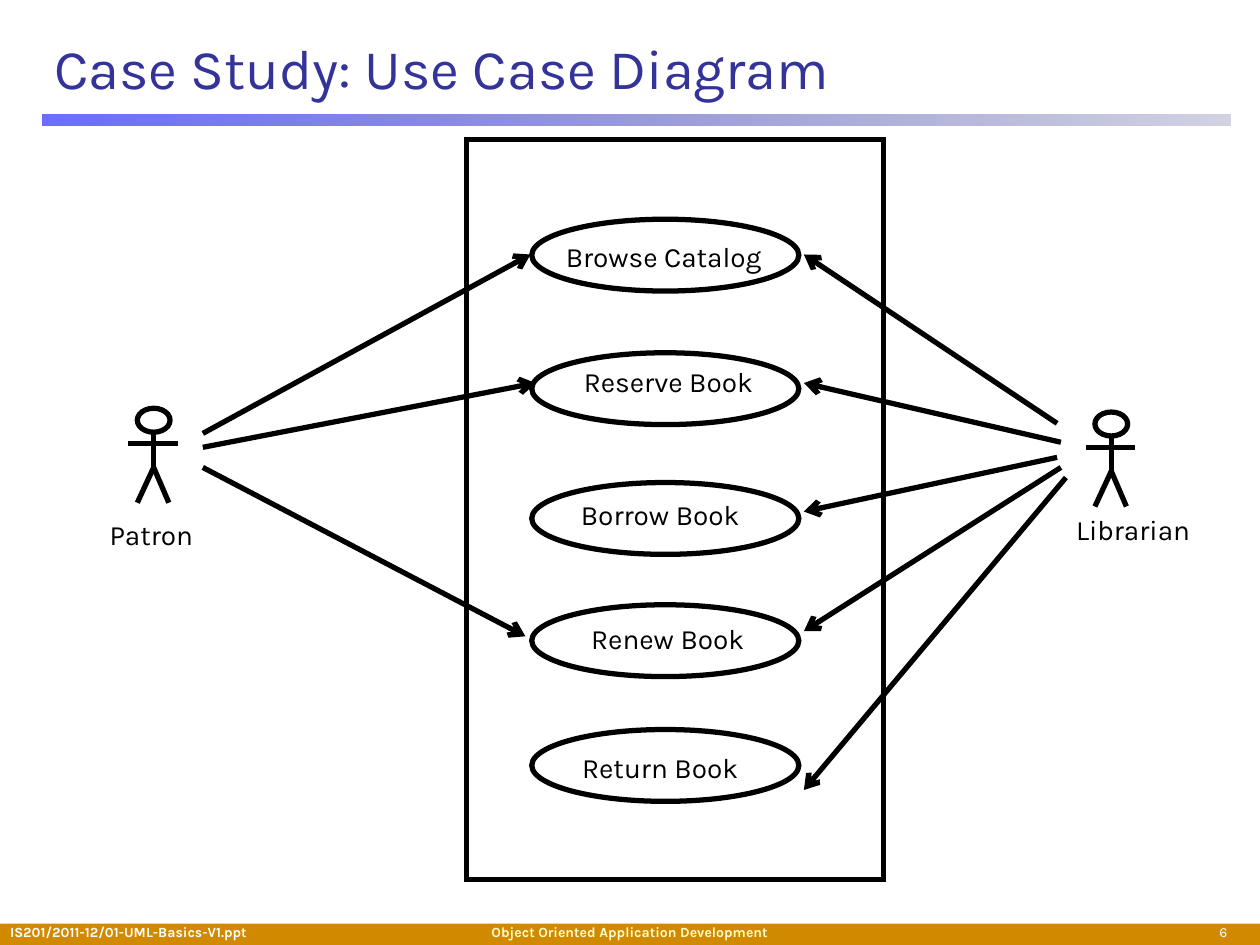
"""Build a library use case diagram slide with two actors and five use cases."""
from lxml import etree
from pptx import Presentation
from pptx.dml.color import RGBColor
from pptx.enum.shapes import MSO_CONNECTOR, MSO_SHAPE
from pptx.enum.text import MSO_ANCHOR, PP_ALIGN
from pptx.oxml.ns import qn
from pptx.util import Inches, Pt

RECT, OVAL = MSO_SHAPE.RECTANGLE, MSO_SHAPE.OVAL
STRAIGHT = MSO_CONNECTOR.STRAIGHT
MIDDLE = MSO_ANCHOR.MIDDLE
LEFT, CENTER, RIGHT = PP_ALIGN.LEFT, PP_ALIGN.CENTER, PP_ALIGN.RIGHT
BLACK = RGBColor(0x00, 0x00, 0x00)
WHITE = RGBColor(0xFF, 0xFF, 0xFF)
CREAM = RGBColor(0xFF, 0xFF, 0xCC)
ORANGE = RGBColor(0xD1, 0x8A, 0x00)
INDIGO = RGBColor(0x33, 0x33, 0x99)
BAR_START = RGBColor(0x46, 0x4A, 0xFC)
BAR_END = RGBColor(0x20, 0x22, 0x75)
FONT = "Karla"

prs = Presentation()
prs.slide_width, prs.slide_height = Inches(10), Inches(7.5)
s = prs.slides.add_slide(prs.slide_layouts[5])


def add_outlined(shapes, kind, x, y, w, h):
    sp = shapes.add_shape(kind, Inches(x), Inches(y), Inches(w), Inches(h))
    sp.shadow.inherit = False
    sp.fill.solid()
    sp.fill.fore_color.rgb = WHITE
    sp.line.color.rgb = BLACK
    sp.line.width = Pt(3)
    etree.SubElement(sp.line._get_or_add_ln(), qn("a:miter")).set("lim", "800000")


def add_line(shapes, x1, y1, x2, y2):
    cx = shapes.add_connector(STRAIGHT, Inches(x1), Inches(y1), Inches(x2), Inches(y2))
    cx.line.color.rgb = BLACK
    cx.line.width = Pt(3)
    etree.SubElement(cx._element.spPr, qn("a:effectLst"))
    return cx


footer = s.shapes.add_shape(RECT, 0, Inches(7.33), Inches(10), Inches(0.17))
footer.shadow.inherit = False
footer.fill.solid()
footer.fill.fore_color.rgb = ORANGE
footer.line.fill.background()

bar = s.shapes.add_shape(RECT, Inches(0.34), Inches(0.91), Inches(9.43), Inches(0.09))
bar.shadow.inherit = False
bar.line.fill.background()
bar.fill.gradient()
bar.fill.gradient_angle = 0
for stop, color, position in zip(bar.fill.gradient_stops, (BAR_START, BAR_END), (0, 1)):
    stop.color.rgb = color
    stop.position = position
for clr, alpha in zip(bar._element.spPr.iter(qn("a:srgbClr")), (80000, 20000)):
    etree.SubElement(clr, qn("a:alpha")).set("val", str(alpha))

title = s.shapes.title
title.left, title.top = Inches(0.33), Inches(0.16)
title.width, title.height = Inches(9.42), Inches(0.75)
tf = title.text_frame
tf.vertical_anchor = MIDDLE
p = tf.paragraphs[0]
p.alignment = LEFT
r = p.add_run()
r.text = "Case Study: Use Case Diagram"
r.font.name, r.font.size = FONT, Pt(32)
r.font.color.rgb = INDIGO

add_outlined(s.shapes, RECT, 3.7, 1.11, 3.31, 5.87)
for y in (1.74, 2.8, 3.83, 4.8, 5.79):
    add_outlined(s.shapes, OVAL, 4.22, y, 2.12, 0.57)

arrows = [
    (1.61, 3.44, 4.21, 2.02),
    (1.61, 3.55, 4.25, 3.04),
    (1.61, 3.71, 4.17, 5.05),
    (8.39, 3.36, 6.38, 2.02),
    (8.42, 3.51, 6.38, 3.04),
    (8.39, 3.63, 6.38, 4.06),
    (8.42, 3.71, 6.38, 5.01),
    (8.46, 3.79, 6.38, 6.27),
]
for ends in arrows:
    ln = add_line(s.shapes, *ends).line._get_or_add_ln()
    etree.SubElement(ln, qn("a:tailEnd")).set("type", "arrow")

for x, y in ((1.22, 3.24), (8.82, 3.27)):
    actor = s.shapes.add_group_shape()
    add_outlined(actor.shapes, OVAL, x - 0.13, y, 0.26, 0.19)
    add_line(actor.shapes, x, y + 0.19, x, y + 0.47)
    add_line(actor.shapes, x - 0.2, y + 0.28, x + 0.19, y + 0.28)
    for foot in (-0.13, 0.12):
        add_line(actor.shapes, x, y + 0.47, x + foot, y + 0.75)

labels = [
    ("Browse Catalog", 4.49, 1.9, 1.61, LEFT, True),
    ("Reserve Book", 4.53, 2.89, 1.55, CENTER, True),
    ("Borrow Book", 4.49, 3.95, 1.5, CENTER, True),
    ("Renew Book", 4.61, 4.93, 1.38, CENTER, True),
    ("Return Book", 4.61, 5.96, 1.26, CENTER, True),
    ("Patron", 0.87, 4.11, 0.7, LEFT, False),
    ("Librarian", 8.54, 4.07, 0.94, LEFT, False),
]
for text, x, y, w, align, wrap in labels:
    tf = s.shapes.add_textbox(Inches(x), Inches(y), Inches(w), Inches(0.27)).text_frame
    tf.margin_left = tf.margin_right = tf.margin_top = tf.margin_bottom = 0
    tf.word_wrap = wrap
    p = tf.paragraphs[0]
    p.alignment = align
    r = p.add_run()
    r.text = text
    r.font.name, r.font.size = FONT, Pt(16)
    r.font.color.rgb = BLACK

footers = [
    ("IS201/2011-12/01-UML-Basics-V1.ppt", 0, 3.43, LEFT, WHITE, True),
    ("Object Oriented Application Development", 3, 4, CENTER, CREAM, True),
    ("6", 8.42, 1.42, RIGHT, WHITE, False),
]
for text, x, w, align, color, bold in footers:
    tf = s.shapes.add_textbox(Inches(x), Inches(7.28), Inches(w), Inches(0.22)).text_frame
    tf.margin_left = Inches(0.08)
    tf.margin_right = Inches(0.1 if align == RIGHT else 0.08)
    tf.word_wrap = True
    p = tf.paragraphs[0]
    p.alignment = align
    r = p.add_run()
    r.text = text
    r.font.name, r.font.size, r.font.bold = FONT, Pt(8), bold
    r.font.color.rgb = color

prs.save("out.pptx")
